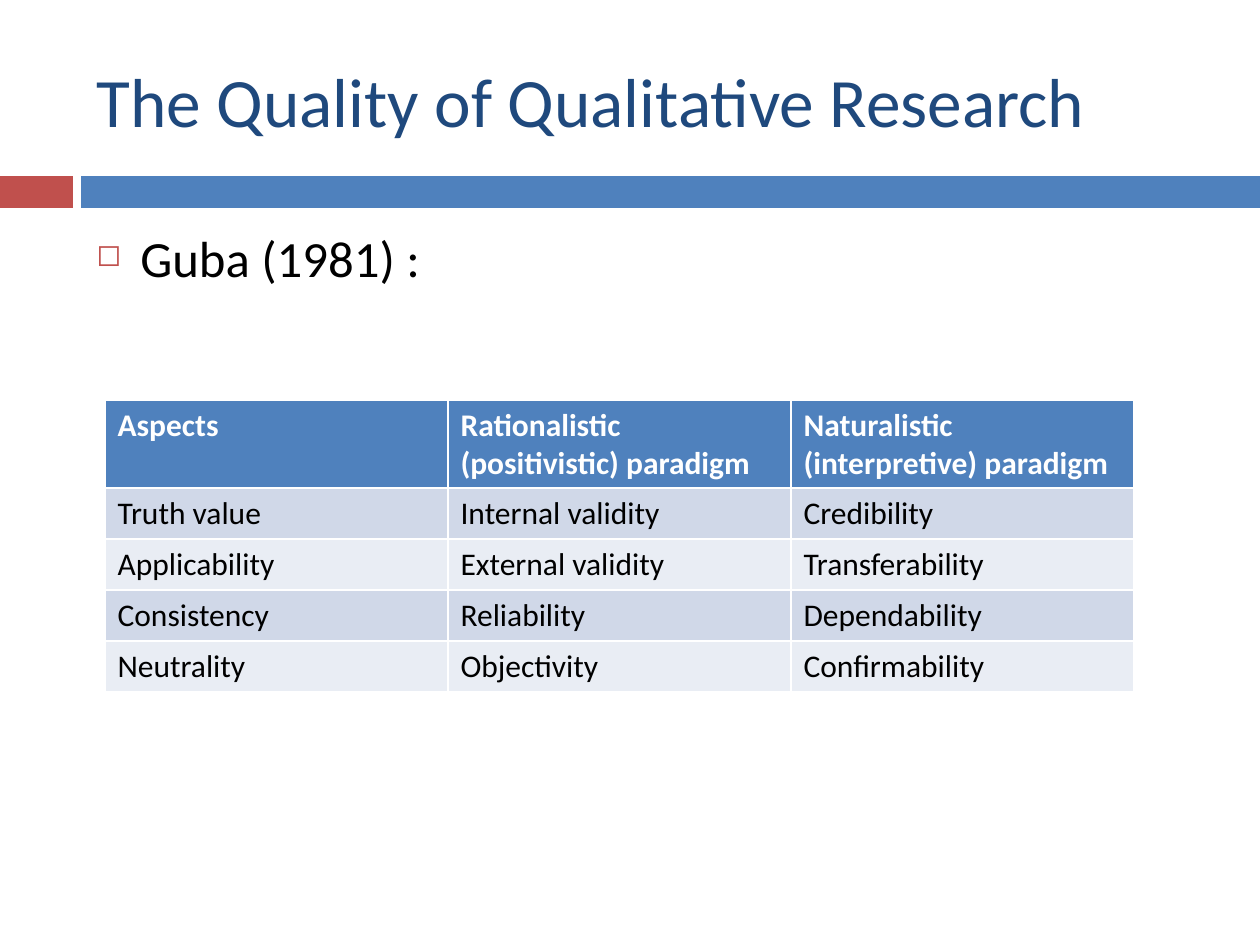
from lxml.etree import SubElement
from pptx import Presentation
from pptx.dml.color import RGBColor
from pptx.enum.shapes import MSO_SHAPE as Shape
from pptx.enum.text import MSO_ANCHOR as Anchor
from pptx.oxml.ns import qn
from pptx.util import Pt

PX = 914400 // 126
RED = RGBColor(0xC0, 0x50, 0x4D)
BLUE = RGBColor(0x4F, 0x81, 0xBD)
NAVY = RGBColor(0x1F, 0x49, 0x7D)
BLACK = RGBColor(0, 0, 0)
WHITE = RGBColor(0xFF, 0xFF, 0xFF)
BANDS = [RGBColor(0xE9, 0xED, 0xF4), RGBColor(0xD0, 0xD8, 0xE8)]


def style(paragraph, size, color, bold=False):
    for span in paragraph.runs:
        span.font.name = "Calibri"
        span.font.size = Pt(size)
        span.font.color.rgb = color
        span.font.bold = bold


def add_text(page, text, top, height, size, color, anchor):
    box = page.shapes.add_textbox(84 * PX, top * PX, 1124 * PX, height * PX)
    frame = box.text_frame
    frame.word_wrap = True
    frame.vertical_anchor = anchor
    frame.text = text
    style(frame.paragraphs[0], size, color)
    return frame.paragraphs[0]


deck = Presentation()
deck.slide_width = 1260 * PX
deck.slide_height = 945 * PX
page = deck.slides.add_slide(deck.slide_layouts[6])

for left, width, color in [(0, 73, RED), (81, 1179, BLUE)]:
    bar = page.shapes.add_shape(Shape.RECTANGLE, left * PX, 176 * PX, width * PX, 32 * PX)
    bar.shadow.inherit = False
    bar.fill.solid()
    bar.fill.fore_color.rgb = color
    bar.line.fill.background()

add_text(page, "The Quality of Qualitative Research", 32, 136, 39.6, NAVY, Anchor.MIDDLE)

source = add_text(page, "Guba (1981) :", 221, 620, 29, BLACK, Anchor.TOP)
properties = source._p.get_or_add_pPr()
properties.set("marL", str(44 * PX))
properties.set("indent", str(-44 * PX))
bullet_color = SubElement(properties, qn("a:buClr"))
SubElement(bullet_color, qn("a:srgbClr"), val=str(RED))
SubElement(properties, qn("a:buSzPct"), val="60000")
SubElement(properties, qn("a:buChar"), char="◻")

rows = [
    ["Aspects", "Rationalistic (positivistic) paradigm", "Naturalistic (interpretive) paradigm"],
    ["Truth value", "Internal validity", "Credibility"],
    ["Applicability", "External validity", "Transferability"],
    ["Consistency", "Reliability", "Dependability"],
    ["Neutrality", "Objectivity", "Confirmability"],
]
table = page.shapes.add_table(
    len(rows), 3, 105 * PX, 400 * PX, 3 * 343 * PX, (88 + 4 * 51) * PX
).table
for column in table.columns:
    column.width = 343 * PX
for index, texts in enumerate(rows):
    header = index == 0
    table.rows[index].height = (88 if header else 51) * PX
    for cell, text in zip(table.rows[index].cells, texts):
        cell.text_frame.text = text
        style(cell.text_frame.paragraphs[0], 18, WHITE if header else BLACK, header)
        cell.fill.solid()
        cell.fill.fore_color.rgb = BLUE if header else BANDS[index % 2]

deck.save("out.pptx")
